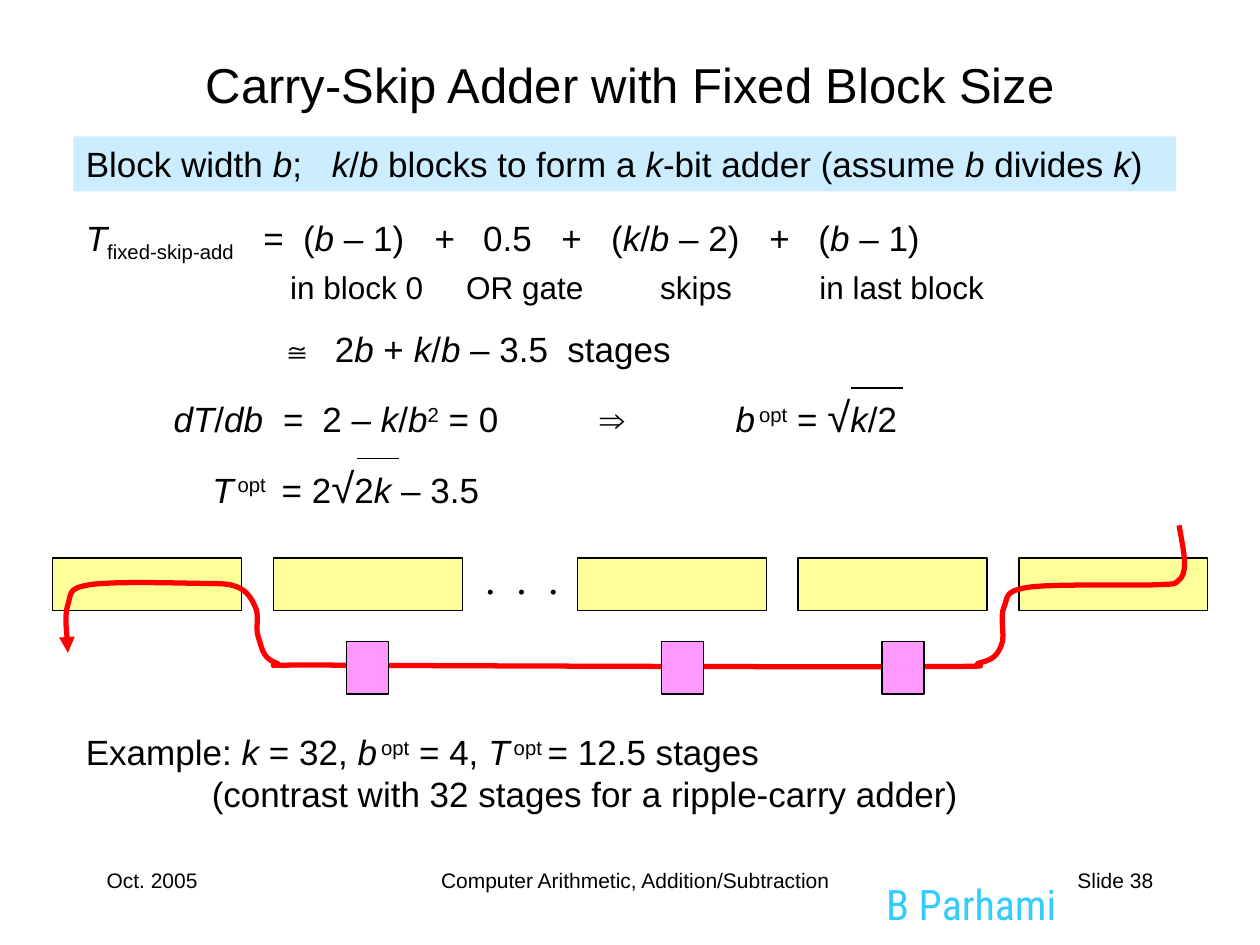
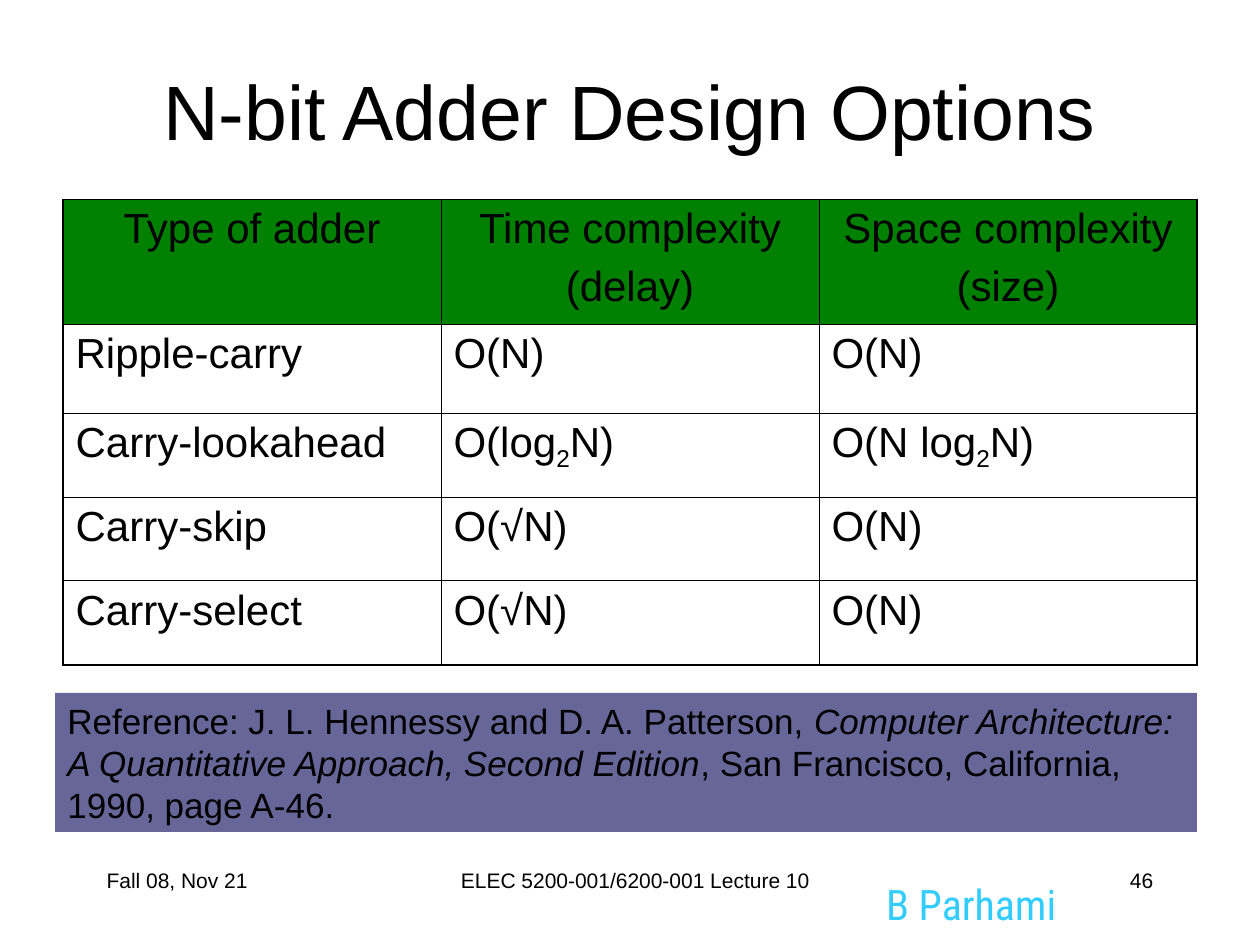
"""Build two lecture slides on carry-skip adders and adder design options."""
import pptx
import pptx.dml.color
import pptx.enum.shapes
import pptx.enum.text
import pptx.oxml
import pptx.oxml.ns
import pptx.util
from lxml import etree

Cm = pptx.util.Cm
Pt = pptx.util.Pt
RGBColor = pptx.dml.color.RGBColor
ALIGN = pptx.enum.text.PP_ALIGN
ANCHOR = pptx.enum.text.MSO_ANCHOR
qn = pptx.oxml.ns.qn

BLACK = RGBColor(0x00, 0x00, 0x00)
WHITE = RGBColor(0xFF, 0xFF, 0xFF)
CYAN = RGBColor(0x33, 0xCC, 0xFF)
PALE_BLUE = RGBColor(0xCC, 0xEC, 0xFF)
YELLOW = RGBColor(0xFF, 0xFF, 0x99)
PINK = RGBColor(0xFF, 0x99, 0xFF)
RED = RGBColor(0xFF, 0x00, 0x00)
GREEN = RGBColor(0x00, 0x80, 0x00)
SLATE = RGBColor(0x66, 0x66, 0x99)

FONT = "Arial"
BASELINES = {"_": "-25000", "^": "30000"}
SIZES = {"~": 24, "`": 8}
MARKS = "*_^~`"

EQUATIONS = [
    ("*T*_fixed-skip-add_\t=\t(*b* – 1)\t+\t0.5\t+\t(*k*/*b* – 2)\t+\t(*b* – 1)",
     [3.58, 4.38, 7.03, 8.01, 9.59, 10.59, 13.78, 14.77], 20, 0),
    ("\tin block 0\tOR gate\tskips\tin last block", [4.12, 7.67, 11.58, 14.79], 18, 2.3),
    ("\t≅\t2*b* + *k*/*b* – 3.5\tstages", [3.91, 5.02, 9.71], 20, 12.6),
    ("\t*dT*/*db*\t=\t2 – *k*/*b*^2^ = 0\t⇒\t*b*` `^opt^ = ~√~*k*/2",
     [1.77, 3.98, 4.77, 10.36, 13.1], 20, 12),
    ("\t*T*` `^opt^\t= 2~√~2*k* – 3.5", [2.55, 3.95], 20, 11.5),
]
EXAMPLE = [
    ("Example: *k* = 32, *b*` `^opt^ = 4, *T*` `^opt ^= 12.5 stages", [], 20, 0),
    ("\t(contrast with 32 stages for a ripple-carry adder)", [2.54], 20, 0),
]
CARRY_PATH = [
    (23.77, 10.59), (23.88, 11.35), (23.75, 11.71), (23.27, 11.79), (20.73, 11.84),
    (20.24, 12.24), (20.19, 13), (19.76, 13.36), (18.39, 13.44), (6.86, 13.41),
    (5.56, 13.36), (5.21, 12.85), (5.16, 12.27), (4.8, 11.84), (3.96, 11.76),
    (1.8, 11.79), (1.37, 12.19), (1.37, 13.16),
]
ADDERS = [
    ["Type of adder", "Time complexity|(delay)", "Space complexity|(size)"],
    ["Ripple-carry", "O(N)", "O(N)"],
    ["Carry-lookahead", "O(log_2_N)", "O(N log_2_N)"],
    ["Carry-skip", "O(√N)", "O(N)"],
    ["Carry-select", "O(√N)", "O(N)"],
]
ROW_HEIGHTS = [2.51, 1.8, 1.69, 1.69, 1.69]
REFERENCE = ("Reference: J. L. Hennessy and D. A. Patterson, *Computer Architecture: "
             "A Quantitative Approach, Second Edition*, San Francisco, California, "
             "1990, page A-46.")


def split_marks(text):
    """Yield (piece, active marks) for text with paired style marks."""
    active, piece = set(), ""
    for ch in text:
        if ch in MARKS:
            if piece:
                yield piece, set(active)
            active ^= {ch}
            piece = ""
        else:
            piece += ch
    if piece:
        yield piece, active


def write_paragraph(p, text, size, color=BLACK, font=FONT, align=ALIGN.LEFT, before=0, tabs=()):
    """Fill a paragraph with styled runs and tab stops."""
    p.alignment = align
    p.space_before = Pt(before)
    if tabs:
        tab_list = etree.SubElement(p._p.get_or_add_pPr(), qn("a:tabLst"))
        for pos in tabs:
            etree.SubElement(tab_list, qn("a:tab"), pos=str(Cm(pos)), algn="l")
    for piece, marks in split_marks(text):
        r = p.add_run()
        r.text = piece
        r.font.name = font
        r.font.size = Pt(next((SIZES[m] for m in marks if m in SIZES), size))
        r.font.color.rgb = color
        r.font.italic = "*" in marks
        for mark in marks & set(BASELINES):
            r._r.get_or_add_rPr().set("baseline", BASELINES[mark])


def write_lines(tf, lines, **style):
    """Write (text, tabs, size, space before) lines into a text frame."""
    for i, (text, tabs, size, before) in enumerate(lines):
        p = tf.paragraphs[0] if i == 0 else tf.add_paragraph()
        write_paragraph(p, text, size, tabs=tabs, before=before, **style)


def add_text(s, box, lines, anchor=ANCHOR.TOP, **style):
    """Add a text box."""
    tf = s.shapes.add_textbox(*map(Cm, box)).text_frame
    tf.word_wrap = True
    tf.vertical_anchor = anchor
    write_lines(tf, lines, **style)


def add_rect(s, box, fill, outlined=False):
    """Add a filled rectangle, outlined on request."""
    sp = s.shapes.add_shape(pptx.enum.shapes.MSO_SHAPE.RECTANGLE, *map(Cm, box))
    sp.shadow.inherit = False
    sp.fill.solid()
    sp.fill.fore_color.rgb = fill
    if outlined:
        sp.line.color.rgb = BLACK
        sp.line.width = Pt(0.75)
    else:
        sp.line.fill.background()
    return sp


def add_banner(s, box, fill, lines):
    """Add a coloured band with text."""
    tf = add_rect(s, box, fill).text_frame
    tf.word_wrap = True
    tf.vertical_anchor = ANCHOR.TOP
    write_lines(tf, lines)


def add_overline(s, x1, x2, y):
    """Add the bar of a square root."""
    line = s.shapes.add_connector(
        pptx.enum.shapes.MSO_CONNECTOR.STRAIGHT, Cm(x1), Cm(y), Cm(x2), Cm(y))
    line.line.color.rgb = BLACK
    line.line.width = Pt(0.75)
    etree.SubElement(line._element.spPr, qn("a:effectLst"))


def smooth_segments(sp):
    """Turn the straight segments of a freeform into smooth Bezier curves."""
    points = [(int(pt.get("x")), int(pt.get("y"))) for pt in sp._element.iter(qn("a:pt"))]
    padded = [points[0], *points, points[-1]]
    segments = list(sp._element.iter(qn("a:lnTo")))
    for segment, a, b, c, d in zip(segments, padded, padded[1:], padded[2:], padded[3:]):
        leave = [q + (r - p) / 6 for p, q, r in zip(a, b, c)]
        arrive = [q - (r - p) / 6 for p, q, r in zip(b, c, d)]
        curve = etree.Element(qn("a:cubicBezTo"))
        for x, y in (leave, arrive, c):
            etree.SubElement(curve, qn("a:pt"), x=str(round(x)), y=str(round(y)))
        segment.getparent().replace(segment, curve)


def add_curve_arrow(s, anchors, color, width):
    """Add a smooth open curve ending in an arrowhead."""
    points = [(Cm(x), Cm(y)) for x, y in anchors]
    builder = s.shapes.build_freeform(*points[0])
    builder.add_line_segments(points[1:], close=False)
    sp = builder.convert_to_shape()
    smooth_segments(sp)
    sp.shadow.inherit = False
    sp.fill.background()
    sp.line.color.rgb = color
    sp.line.width = Pt(width)
    etree.SubElement(sp.line._get_or_add_ln(), qn("a:tailEnd"), type="triangle")


def set_borders(cell, widths):
    """Draw the four cell borders, given in points by side."""
    tc_pr = cell._tc.get_or_add_tcPr()
    for i, (side, width) in enumerate(widths.items()):
        tc_pr.insert(i, pptx.oxml.parse_xml(
            f'<a:{side} xmlns:a="http://schemas.openxmlformats.org/drawingml/2006/main" '
            f'w="{Pt(width)}"><a:solidFill><a:srgbClr val="{BLACK}"/></a:solidFill></a:{side}>'))


def add_adder_table(s, left, top, col_width):
    """Add the table of adder complexities."""
    rows, cols = len(ADDERS), len(ADDERS[0])
    table = s.shapes.add_table(rows, cols, Cm(left), Cm(top), Cm(col_width * cols),
                               Cm(sum(ROW_HEIGHTS))).table
    for col in table.columns:
        col.width = Cm(col_width)
    for i, texts in enumerate(ADDERS):
        table.rows[i].height = Cm(ROW_HEIGHTS[i])
        for j, text in enumerate(texts):
            cell = table.cell(i, j)
            cell.fill.solid()
            cell.fill.fore_color.rgb = WHITE if i else GREEN
            lines = [(line, [], 24, 6 if n else 0) for n, line in enumerate(text.split("|"))]
            write_lines(cell.text_frame, lines, align=ALIGN.LEFT if i else ALIGN.CENTER)
            outer = {"lnL": j == 0, "lnR": j == cols - 1, "lnT": i == 0, "lnB": i == rows - 1}
            set_borders(cell, {side: 1.08 if edge else 0.45 for side, edge in outer.items()})


def add_slide(prs, title, title_box, title_size, footers):
    """Add a slide with its title, author and footers."""
    s = prs.slides.add_slide(prs.slide_layouts[6])
    add_text(s, (17.58, 17.58, 4, 1.07), [("B Parhami", [], 24, 0)],
             color=CYAN, font="Roboto Condensed", align=ALIGN.CENTER)
    places = [(1.9, 5.29, ALIGN.LEFT), (6.14, 13.34, ALIGN.CENTER), (18.21, 5.29, ALIGN.RIGHT)]
    for text, (left, width, align) in zip(footers, places):
        add_text(s, (left, 17.36, width, 1.27), [(text, [], 12, 0)], align=align)
    add_text(s, title_box, [(title, [], title_size, 0)], ANCHOR.MIDDLE, align=ALIGN.CENTER)
    return s


def add_carry_chain(s):
    """Draw the adder blocks, the carry path and the skip logic."""
    for first, count in ((1.06, 2), (11.64, 3)):
        for i in range(count):
            add_rect(s, (first + 4.45 * i, 11.25, 3.81, 1.06), YELLOW, outlined=True)
    add_text(s, (9.53, 11.02, 2.2, 1.27), [(".\t.\t.", [0.63, 1.27], 24, 0)],
             font="Times New Roman")
    add_curve_arrow(s, CARRY_PATH, RED, 3)
    for left in (6.98, 13.33, 17.78):
        add_rect(s, (left, 12.93, 0.85, 1.06), PINK, outlined=True)


def build_carry_skip(prs):
    """Build the slide on the fixed block size."""
    s = add_slide(prs, "Carry-Skip Adder with Fixed Block Size", (0, 0.64, 25.4, 2.12), 28,
                  ("Oct. 2005", "Computer Arithmetic, Addition/Subtraction", "Slide 38"))
    add_banner(s, (1.48, 2.75, 22.23, 1.11), PALE_BLUE, [
        ("Block width *b*;\t*k*/*b* blocks to form a *k*-bit adder (assume *b* divides *k*)",
         [4.96], 20, 0)])
    add_text(s, (1.48, 14.61, 22.91, 1.96), EXAMPLE)
    add_overline(s, 17.15, 18.2, 7.82)
    add_text(s, (1.48, 4.23, 22.43, 6.22), EQUATIONS)
    add_overline(s, 7.2, 8.04, 9.24)
    add_carry_chain(s)


def build_design_options(prs):
    """Build the slide comparing adders."""
    s = add_slide(prs, "N-bit Adder Design Options", (1.27, 0.64, 22.86, 3.16), 44,
                  ("Fall 08, Nov 21", "ELEC 5200-001/6200-001 Lecture 10", "46"))
    add_adder_table(s, 1.27, 4.02, 7.62)
    add_banner(s, (1.11, 13.97, 23.02, 2.8), SLATE, [(REFERENCE, [], 20, 0)])


def main():
    """Create and save the presentation."""
    prs = pptx.Presentation()
    prs.slide_width, prs.slide_height = Cm(25.4), Cm(19.05)
    build_carry_skip(prs)
    build_design_options(prs)
    prs.save("out.pptx")


if __name__ == "__main__":
    main()
